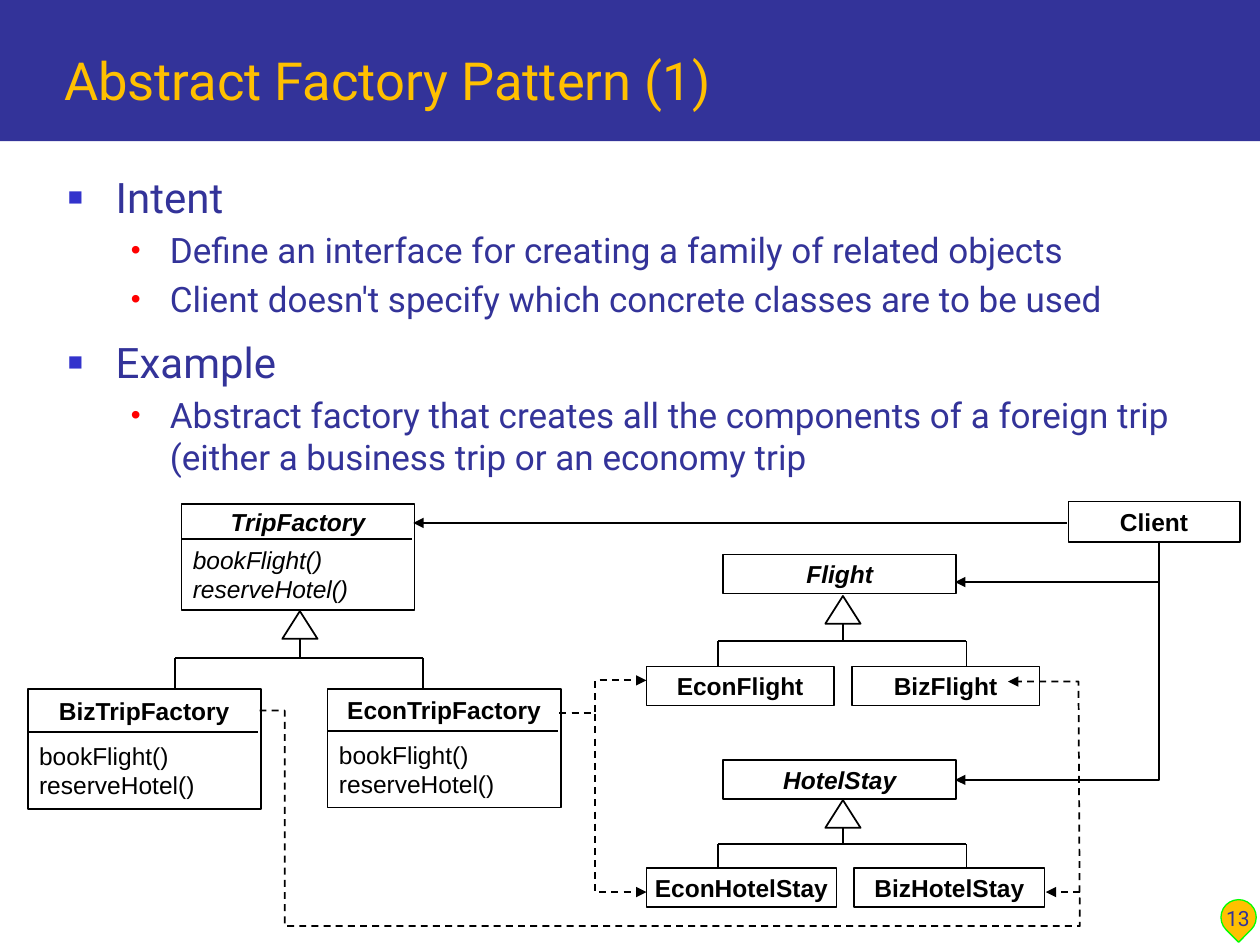
from dataclasses import dataclass

from lxml import etree
from pptx import Presentation
from pptx.dml.color import RGBColor
from pptx.enum.dml import MSO_LINE
from pptx.enum.shapes import MSO_CONNECTOR, MSO_SHAPE
from pptx.enum.text import MSO_ANCHOR, PP_ALIGN
from pptx.oxml.ns import qn
from pptx.util import Inches, Pt

RECTANGLE, TRIANGLE, TEARDROP = MSO_SHAPE.RECTANGLE, MSO_SHAPE.ISOSCELES_TRIANGLE, MSO_SHAPE.TEAR
STRAIGHT, DASH = MSO_CONNECTOR.STRAIGHT, MSO_LINE.DASH
LEFT, CENTER = PP_ALIGN.LEFT, PP_ALIGN.CENTER
TOP, MIDDLE, BOTTOM = MSO_ANCHOR.TOP, MSO_ANCHOR.MIDDLE, MSO_ANCHOR.BOTTOM


@dataclass(frozen=True)
class Theme:
    navy: str = "333399"
    gold: str = "FFC000"
    green: str = "00FF00"
    black: str = "000000"
    white: str = "FFFFFF"
    slide_font: str = "Roboto"
    diagram_font: str = "Arial"
    title_size: int = 30
    diagram_size: int = 14
    number_size: int = 12


@dataclass(frozen=True)
class Level:
    size: int
    indent: float
    hanging: float
    space_before: float
    bullet: str
    bullet_color: str
    bullet_percent: int


@dataclass(frozen=True)
class ClassBox:
    name: str
    left: float
    top: float
    width: float
    height: float
    abstract: bool = False
    header: float = 0  # height of the name part; 0 means no operations
    filled: bool = False


@dataclass(frozen=True)
class Hierarchy:
    center: float
    top: float
    bar: float
    bottom: float


@dataclass(frozen=True)
class Arrow:
    points: tuple
    dashed: bool = False


THEME = Theme()
OPERATIONS = "bookFlight()\vreserveHotel()"
TOPIC = Level(24, 0.38, 0.38, 9.6, "■", "3333CC", 60)
DETAIL = Level(20, 0.81, 0.31, 4, "•", "FF0000", 80)
BODY = [
    (TOPIC, "Intent"),
    (DETAIL, "Define an interface for creating a family of related objects"),
    (DETAIL, "Client doesn't specify which concrete classes are to be used"),
    (TOPIC, "Example"),
    (DETAIL, "Abstract factory that creates all the components of a foreign trip "
             "(either a business trip or an economy trip"),
]
CLASSES = [
    ClassBox("TripFactory", 1.44, 4, 1.85, 0.84, abstract=True, header=0.28),
    ClassBox("BizTripFactory", 0.22, 5.47, 1.85, 0.95, header=0.34),
    ClassBox("EconTripFactory", 2.6, 5.47, 1.85, 0.94, header=0.33),
    ClassBox("Client", 8.48, 3.98, 1.36, 0.32),
    ClassBox("Flight", 5.74, 4.4, 1.85, 0.31, abstract=True),
    ClassBox("EconFlight", 5.13, 5.29, 1.49, 0.31),
    ClassBox("BizFlight", 6.76, 5.29, 1.49, 0.31, filled=True),
    ClassBox("HotelStay", 5.74, 6.03, 1.85, 0.31, abstract=True),
    ClassBox("EconHotelStay", 5.13, 6.89, 1.51, 0.31),
    ClassBox("BizHotelStay", 6.78, 6.89, 1.51, 0.31, filled=True),
]
HIERARCHIES = [
    Hierarchy(2.38, 4.85, 5.22, 5.46),
    Hierarchy(6.69, 4.73, 5.09, 5.29),
    Hierarchy(6.69, 6.35, 6.7, 6.89),
]
ARROWS = [
    Arrow(((8.47, 4.15), (3.28, 4.15))),
    Arrow(((9.2, 4.51), (9.2, 4.62), (7.58, 4.62))),
    Arrow(((9.2, 4.29), (9.2, 6.19), (7.58, 6.19))),
    Arrow(((4.44, 5.66), (4.72, 5.66), (4.72, 5.4), (5.13, 5.4)), True),
    Arrow(((4.44, 5.66), (4.72, 5.66), (4.72, 7.08), (5.13, 7.08)), True),
    Arrow(((2.06, 5.64), (2.26, 5.64), (2.26, 7.35), (8.57, 7.35), (8.56, 5.41), (8, 5.41)), True),
    Arrow(((8.57, 7.08), (8.3, 7.08)), True),
]


def set_font(paragraph, color: str, **values) -> None:
    for name, value in values.items():
        setattr(paragraph.font, name, value)
    paragraph.font.color.rgb = RGBColor.from_string(color)


def set_frame(shape, anchor, margins=(0.1, 0.05), wrap=True):
    frame = shape.text_frame
    across, down = map(Inches, margins)
    settings = dict(word_wrap=wrap, vertical_anchor=anchor, margin_left=across,
                    margin_right=across, margin_top=down, margin_bottom=down)
    for name, value in settings.items():
        setattr(frame, name, value)
    return frame


def add_box(slide, kind, left, top, width, height, fill=None, line=None, weight=1.0):
    shape = slide.shapes.add_shape(kind, *map(Inches, (left, top, width, height)))
    shape.shadow.inherit = False
    if fill:
        shape.fill.solid()
        shape.fill.fore_color.rgb = RGBColor.from_string(fill)
    else:
        shape.fill.background()
    if line:
        shape.line.color.rgb = RGBColor.from_string(line)
        shape.line.width = Pt(weight)
    else:
        shape.line.fill.background()
    return shape


def add_text(slide, text, left, top, width, height, color, anchor=TOP, alignment=LEFT,
             margins=(0.1, 0.05), **font) -> None:
    box = slide.shapes.add_textbox(*map(Inches, (left, top, width, height)))
    paragraph = set_frame(box, anchor, margins).paragraphs[0]
    paragraph.text, paragraph.alignment = text, alignment
    set_font(paragraph, color, **font)


def add_line(slide, start, end):
    connector = slide.shapes.add_connector(STRAIGHT, *map(Inches, (*start, *end)))
    connector.line.color.rgb = RGBColor.from_string(THEME.black)
    connector.line.width = Pt(1)
    etree.SubElement(connector._element.spPr, qn("a:effectLst"))
    return connector


def add_arrow(slide, arrow: Arrow) -> None:
    points = [tuple(map(Inches, point)) for point in arrow.points]
    if len(points) == 2:
        shape = add_line(slide, *arrow.points)
    else:
        builder = slide.shapes.build_freeform(*points[0])
        builder.add_line_segments(points[1:], close=False)
        shape = builder.convert_to_shape()
        shape.shadow.inherit = False
        shape.fill.background()
        shape.line.color.rgb = RGBColor.from_string(THEME.black)
        shape.line.width = Pt(1)
    if arrow.dashed:
        shape.line.dash_style = DASH
    etree.SubElement(shape.line._get_or_add_ln(), qn("a:tailEnd"), type="triangle")


def add_class(slide, box: ClassBox) -> None:
    shape = add_box(slide, RECTANGLE, box.left, box.top, box.width, box.height,
                    THEME.white if box.filled else None, THEME.black)
    font = dict(name=THEME.diagram_font, size=Pt(THEME.diagram_size), italic=box.abstract)
    margins = (0.09, 0.04)
    if not box.header:
        paragraph = set_frame(shape, MIDDLE, margins, wrap=False).paragraphs[0]
        paragraph.text, paragraph.alignment = box.name, CENTER
        set_font(paragraph, THEME.black, bold=True, **font)
        return
    divider = box.top + box.header
    add_text(slide, box.name, box.left, box.top, box.width, box.header, THEME.black,
             MIDDLE, CENTER, margins, bold=True, **font)
    add_text(slide, OPERATIONS, box.left, divider, box.width, box.height - box.header,
             THEME.black, MIDDLE, LEFT, margins, **font)
    add_line(slide, (box.left, divider), (box.left + box.width - 0.02, divider))


def add_hierarchy(slide, tree: Hierarchy) -> None:
    left, right = tree.center - 0.99, tree.center + 0.98
    add_line(slide, (tree.center, tree.top + 0.22), (tree.center, tree.bar))
    add_line(slide, (left, tree.bar), (right, tree.bar))
    for side in (left, right):
        add_line(slide, (side, tree.bar), (side, tree.bottom))
    add_box(slide, TRIANGLE, tree.center - 0.14, tree.top, 0.28, 0.22, THEME.white, THEME.black)


def add_body(slide) -> None:
    frame = set_frame(slide.shapes.add_textbox(*map(Inches, (0.44, 1.31, 9.28, 2.6))), TOP)
    for index, (level, text) in enumerate(BODY):
        paragraph = frame.add_paragraph() if index else frame.paragraphs[0]
        paragraph.text = text
        properties = paragraph._p.get_or_add_pPr()
        properties.set("marL", str(Inches(level.indent)))
        properties.set("indent", str(-Inches(level.hanging)))
        color = etree.SubElement(properties, qn("a:buClr"))
        etree.SubElement(color, qn("a:srgbClr"), val=level.bullet_color)
        etree.SubElement(properties, qn("a:buSzPct"), val=str(level.bullet_percent * 1000))
        etree.SubElement(properties, qn("a:buFont"), typeface=THEME.diagram_font)
        etree.SubElement(properties, qn("a:buChar"), char=level.bullet)
        paragraph.level = 0 if level is TOPIC else 1
        paragraph.space_before = Pt(level.space_before if index else 0)
        set_font(paragraph, THEME.navy, name=THEME.slide_font, size=Pt(level.size))


def main() -> None:
    presentation = Presentation()
    presentation.slide_width, presentation.slide_height = Inches(10), Inches(7.5)
    slide = presentation.slides.add_slide(presentation.slide_layouts[6])

    # Title band and bullet list
    add_box(slide, RECTANGLE, 0, 0, 10, 1.12, THEME.navy)
    add_text(slide, "Abstract Factory Pattern (1)", 0.41, 0.17, 9.35, 0.76, THEME.gold, BOTTOM,
             name=THEME.slide_font, size=Pt(THEME.title_size))
    add_body(slide)

    # Class diagram
    for box in CLASSES:
        add_class(slide, box)
    for tree in HIERARCHIES:
        add_hierarchy(slide, tree)
    for arrow in ARROWS:
        add_arrow(slide, arrow)

    # Page number
    marker = add_box(slide, TEARDROP, 9.69, 7.14, 0.28, 0.28, THEME.gold, THEME.green, 0.75)
    marker.rotation = 134.9
    add_text(slide, "13", 9.54, 6.94, 0.57, 0.5, THEME.navy, BOTTOM, CENTER,
             name=THEME.slide_font, size=Pt(THEME.number_size))

    presentation.save("out.pptx")


if __name__ == "__main__":
    main()
